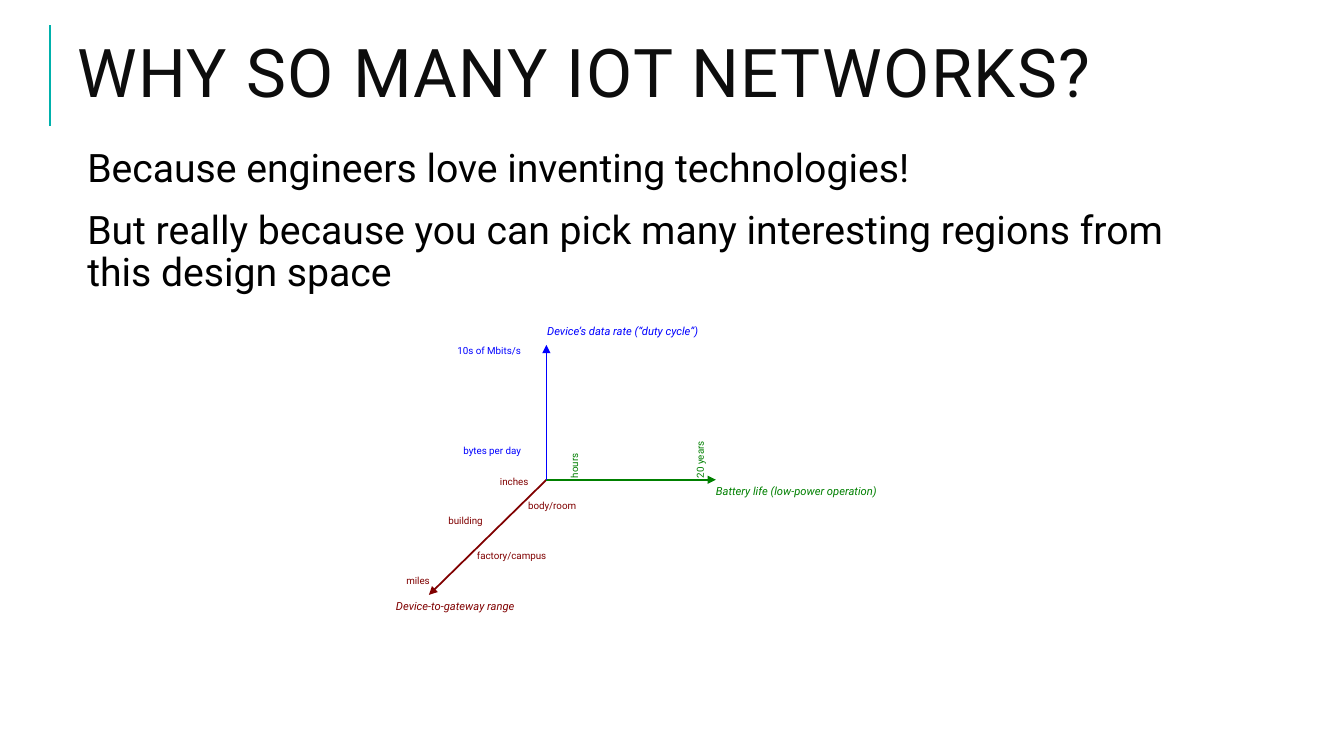
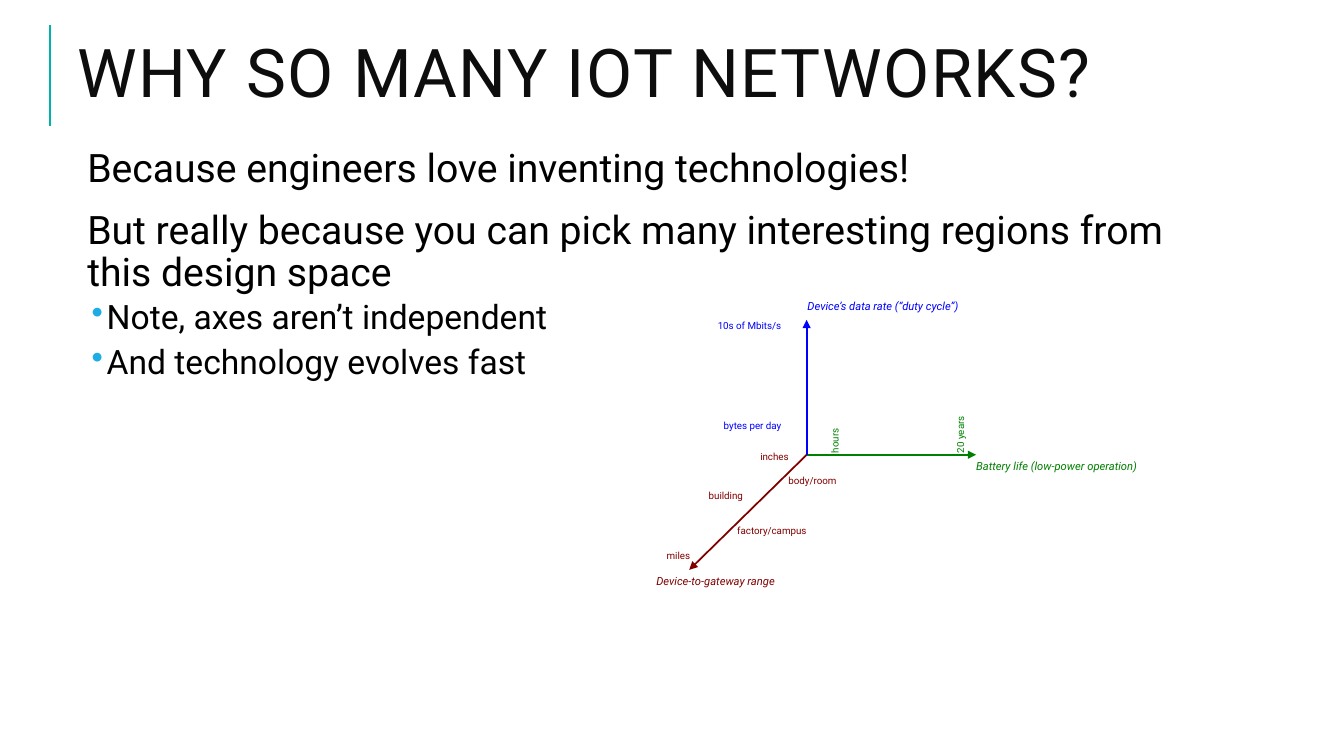
from lxml import etree
from pptx import Presentation
from pptx.dml.color import RGBColor
from pptx.enum.shapes import MSO_CONNECTOR
from pptx.enum.text import MSO_ANCHOR, MSO_AUTO_SIZE, PP_ALIGN
from pptx.oxml.ns import qn
from pptx.util import Cm, Pt

STRAIGHT = MSO_CONNECTOR.STRAIGHT
TOP = MSO_ANCHOR.TOP
LEFT = PP_ALIGN.LEFT
NO_AUTOFIT = MSO_AUTO_SIZE.NONE
TITLE_ONLY = 5

FONT = "Roboto"
TITLE_COLOUR = "0D0D0D"
TEXT_COLOUR = "000000"
ACCENT = "00B1AC"
BULLET_COLOUR = "1CADE4"
RANGE = "800000"
BATTERY = "008000"
RATE = "0000FF"

TITLE = "WHY SO MANY IOT NETWORKS?"
STATEMENTS = [
    "Because engineers love inventing technologies!",
    "But really because you can pick many interesting regions from this design space",
]
REMARKS = ["Note, axes aren’t independent", "And technology evolves fast"]

AXES = [(RANGE, -2.96, 2.9), (BATTERY, 4.27, 0), (RATE, 0, -3.4)]
AXIS_NAMES = [
    ("Device-to-gateway range", RANGE, -4.04, 2.9, 4.57),
    ("Battery life (low-power operation)", BATTERY, 4.02, 0, 6.12),
    ("Device’s data rate (“duty cycle”)", RATE, -0.23, -4.04, 5.82),
]
AXIS_VALUES = [
    ("inches", RANGE, -1.42, -0.23, 1.5),
    ("body/room", RANGE, -0.71, 0.38, 2.13),
    ("factory/campus", RANGE, -2, 1.63, 2.79),
    ("building", RANGE, -2.72, 0.76, 1.75),
    ("miles", RANGE, -3.78, 2.26, 1.35),
    ("10s of Mbits/s", RATE, -2.49, -3.53, 2.51),
    ("bytes per day", RATE, -2.34, -1.02, 2.49),
]
UPRIGHT_VALUES = [
    ("hours", BATTERY, 0, -0.91, 1.55),
    ("20 years", BATTERY, 2.95, -1.13, 1.98),
]


def colour(value):
    return RGBColor.from_string(value)


def add_span(para, text, size, value, italic=False):
    span = para.add_run()
    span.text = text
    span.font.name = FONT
    span.font.size = Pt(size)
    span.font.italic = italic
    span.font.color.rgb = colour(value)
    return span


def prepare_frame(shape):
    frame = shape.text_frame
    frame.word_wrap = True
    frame.auto_size = NO_AUTOFIT
    frame.vertical_anchor = TOP
    return frame


def add_line(shapes, start, end, value, width, arrow=False):
    line = shapes.add_connector(STRAIGHT, *(Cm(n) for n in start + end))
    line.line.color.rgb = colour(value)
    line.line.width = Pt(width)
    if arrow:
        outline = line.line._get_or_add_ln()
        etree.SubElement(outline, qn("a:tailEnd"), type="triangle")
    etree.SubElement(line._element.spPr, qn("a:effectLst"))


def set_title(page):
    title = page.shapes.title
    title.left, title.top = Cm(1.7), Cm(1.02)
    title.width, title.height = Cm(29.21), Cm(3.68)
    para = prepare_frame(title).paragraphs[0]
    para.alignment = LEFT
    para.line_spacing = 0.8
    span = add_span(para, TITLE, 48, TITLE_COLOUR)
    span.font._element.set("spc", "100")


def set_bullet(para):
    properties = para._p.get_or_add_pPr()
    properties.set("marL", str(Cm(0.74)))
    properties.set("indent", str(Cm(-0.38)))
    bullet_colour = etree.SubElement(properties, qn("a:buClr"))
    etree.SubElement(bullet_colour, qn("a:srgbClr"), val=BULLET_COLOUR)
    etree.SubElement(properties, qn("a:buChar"), char="•")


def add_body(page, remarks):
    box = page.shapes.add_textbox(Cm(1.7), Cm(3.61), Cm(29.21), Cm(12.7))
    frame = prepare_frame(box)
    for index, text in enumerate(STATEMENTS + remarks):
        para = frame.add_paragraph() if index else frame.paragraphs[0]
        is_remark = index >= len(STATEMENTS)
        para.line_spacing = 0.9
        para.space_after = Pt(4 if is_remark else 2)
        if index:
            para.space_before = Pt(2 if is_remark else 12)
        if is_remark:
            para.level = 1
            set_bullet(para)
        else:
            para._p.get_or_add_pPr().set("marL", str(Cm(0.25)))
        add_span(para, text, 24 if is_remark else 28, TEXT_COLOUR)


def add_labels(shapes, origin, labels, size, height, italic=False, rotation=0):
    for text, value, across, down, width in labels:
        box = shapes.add_textbox(
            Cm(origin[0] + across), Cm(origin[1] + down), Cm(width), Cm(height)
        )
        box.rotation = rotation
        para = prepare_frame(box).paragraphs[0]
        add_span(para, text, size, value, italic)


def add_design_space(page, origin):
    shapes = page.shapes.add_group_shape().shapes
    for value, across, down in AXES:
        end = (origin[0] + across, origin[1] + down)
        add_line(shapes, origin, end, value, 1.25, arrow=True)
    add_labels(shapes, origin, AXIS_NAMES, 8, 0.81, italic=True)
    add_labels(shapes, origin, AXIS_VALUES, 7, 0.76)
    add_labels(shapes, origin, UPRIGHT_VALUES, 7, 0.69, rotation=270)


def add_page(deck, origin, remarks):
    page = deck.slides.add_slide(deck.slide_layouts[TITLE_ONLY])
    add_line(page.shapes, (1.27, 3.18), (1.27, 0.64), ACCENT, 1.5)
    set_title(page)
    add_body(page, remarks)
    add_design_space(page, origin)


def main():
    deck = Presentation()
    deck.slide_width, deck.slide_height = Cm(33.87), Cm(19.05)
    add_page(deck, (13.77, 12.09), [])
    add_page(deck, (20.33, 11.46), REMARKS)
    deck.save("out.pptx")


if __name__ == "__main__":
    main()
